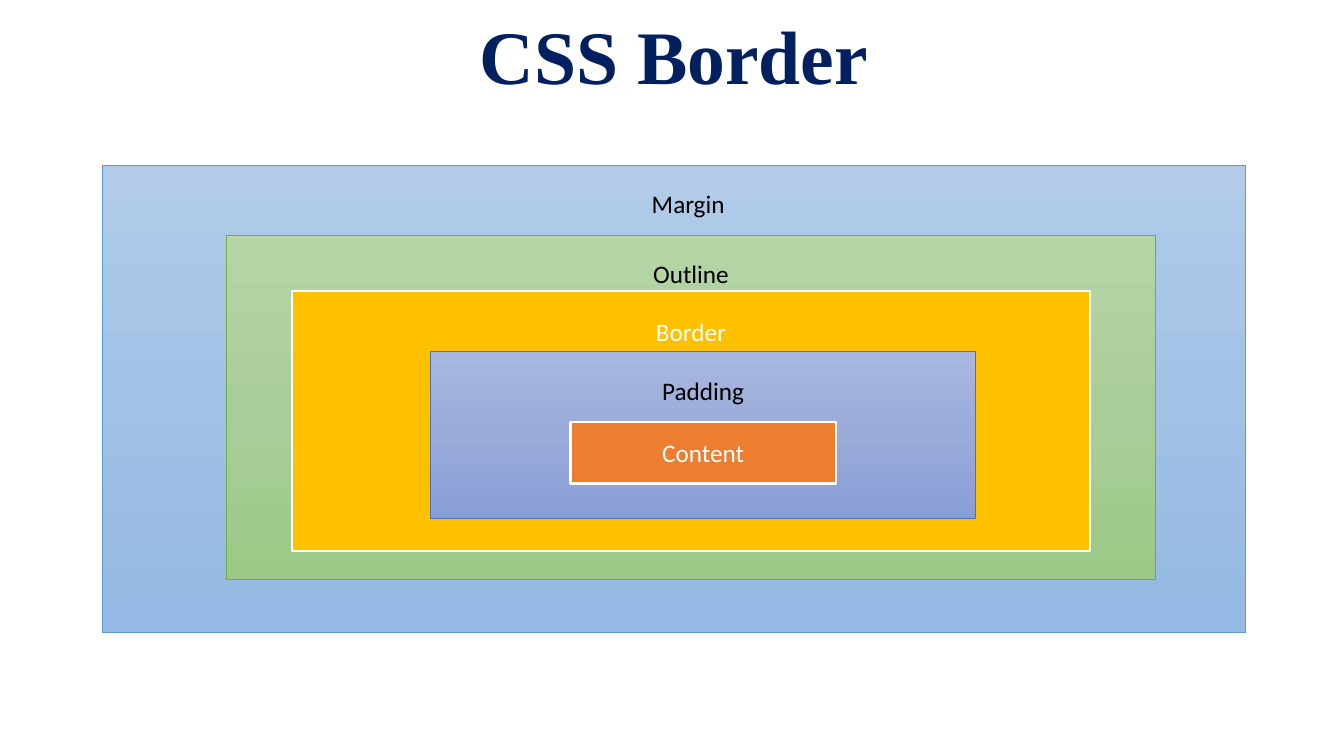
from copy import deepcopy

from pptx import Presentation
from pptx.dml.color import RGBColor
from pptx.enum.shapes import MSO_SHAPE
from pptx.enum.text import MSO_ANCHOR, PP_ALIGN
from pptx.oxml.ns import qn
from pptx.util import Pt

NAVY = RGBColor(0x00, 0x20, 0x60)
BLACK = RGBColor(0x00, 0x00, 0x00)
WHITE = RGBColor(0xFF, 0xFF, 0xFF)
GOLD = RGBColor(0xFF, 0xC0, 0x00)
ORANGE = RGBColor(0xED, 0x7D, 0x31)
BLUE_LINE = RGBColor(0x5B, 0x9B, 0xD5)
GREEN_LINE = RGBColor(0x70, 0xAD, 0x47)
INDIGO_LINE = RGBColor(0x44, 0x72, 0xC4)
BLUES = (RGBColor(0xB1, 0xCB, 0xE9), RGBColor(0xA3, 0xC1, 0xE5), RGBColor(0x93, 0xB9, 0xE4))
GREENS = (RGBColor(0xB5, 0xD5, 0xA7), RGBColor(0xAA, 0xCE, 0x9A), RGBColor(0x9C, 0xC9, 0x87))
INDIGOS = (RGBColor(0xA8, 0xB7, 0xDF), RGBColor(0x9A, 0xAB, 0xD9), RGBColor(0x88, 0x9E, 0xD7))


def add_run(paragraph, text, font_name, size, color, bold=False):
    """Add one formatted run to a paragraph."""
    run = paragraph.add_run()
    run.text = text
    run.font.name = font_name
    run.font.size = Pt(size)
    run.font.bold = bold
    run.font.color.rgb = color


def set_title(slide, text):
    """Place the title across the top of the slide."""
    title = slide.shapes.title
    title.left, title.top, title.width, title.height = Pt(24.5), Pt(16.5), Pt(913.7), Pt(59)
    title.text_frame.vertical_anchor = MSO_ANCHOR.BOTTOM
    paragraph = title.text_frame.paragraphs[0]
    paragraph.alignment = PP_ALIGN.CENTER
    paragraph.line_spacing = 0.9
    add_run(paragraph, text, "Times New Roman", 54, NAVY, bold=True)


def fill_gradient(shape, colors):
    """Fill a shape from top to bottom with evenly spaced colours."""
    shape.fill.gradient()
    shape.fill.gradient_angle = 270
    stop_list = shape._element.spPr.find(qn("a:gradFill")).find(qn("a:gsLst"))
    stop_list.insert(1, deepcopy(stop_list[0]))
    for index, (stop, color) in enumerate(zip(shape.fill.gradient_stops, colors)):
        stop.position = index / (len(colors) - 1)
        stop.color.rgb = color


def add_layer(group, label, box, colors, line_color, top_inset=None, left_inset=7.2):
    """Add one labelled rectangle of the box model; several colours make a gradient."""
    shape = group.shapes.add_shape(MSO_SHAPE.RECTANGLE, *map(Pt, box))
    shape.shadow.inherit = False
    is_gradient = len(colors) > 1
    if is_gradient:
        fill_gradient(shape, colors)
    else:
        shape.fill.solid()
        shape.fill.fore_color.rgb = colors[0]
    shape.line.color.rgb = line_color
    shape.line.width = Pt(0.5 if is_gradient else 1.5)
    frame = shape.text_frame
    frame.word_wrap = True
    frame.margin_left = Pt(left_inset)
    frame.vertical_anchor = MSO_ANCHOR.MIDDLE
    if top_inset is not None:
        frame.vertical_anchor = MSO_ANCHOR.TOP
        frame.margin_top = Pt(top_inset)
    paragraph = frame.paragraphs[0]
    paragraph.alignment = PP_ALIGN.CENTER
    add_run(paragraph, label, "Calibri", 18, BLACK if is_gradient else WHITE)


def main():
    """Build the slide and save it."""
    presentation = Presentation()
    presentation.slide_width, presentation.slide_height = Pt(960), Pt(540)
    slide = presentation.slides.add_slide(presentation.slide_layouts[0])
    subtitle = slide.placeholders[1]._element
    subtitle.getparent().remove(subtitle)
    set_title(slide, "CSS Border")
    box_model = slide.shapes.add_group_shape()
    add_layer(box_model, "Margin", (73.4, 118.1, 816.5, 333.4), BLUES, BLUE_LINE, 16.5, 27)
    add_layer(box_model, "Outline", (162, 167.8, 663.1, 246.2), GREENS, GREEN_LINE, 16.5)
    add_layer(box_model, "Border", (208.8, 207.7, 569.5, 185.8), (GOLD,), WHITE, 18)
    add_layer(box_model, "Padding", (307.4, 251.3, 389.5, 118.8), INDIGOS, INDIGO_LINE, 16.5)
    add_layer(box_model, "Content", (407.5, 301.5, 189.4, 43.9), (ORANGE,), WHITE)
    presentation.save("out.pptx")


if __name__ == "__main__":
    main()
